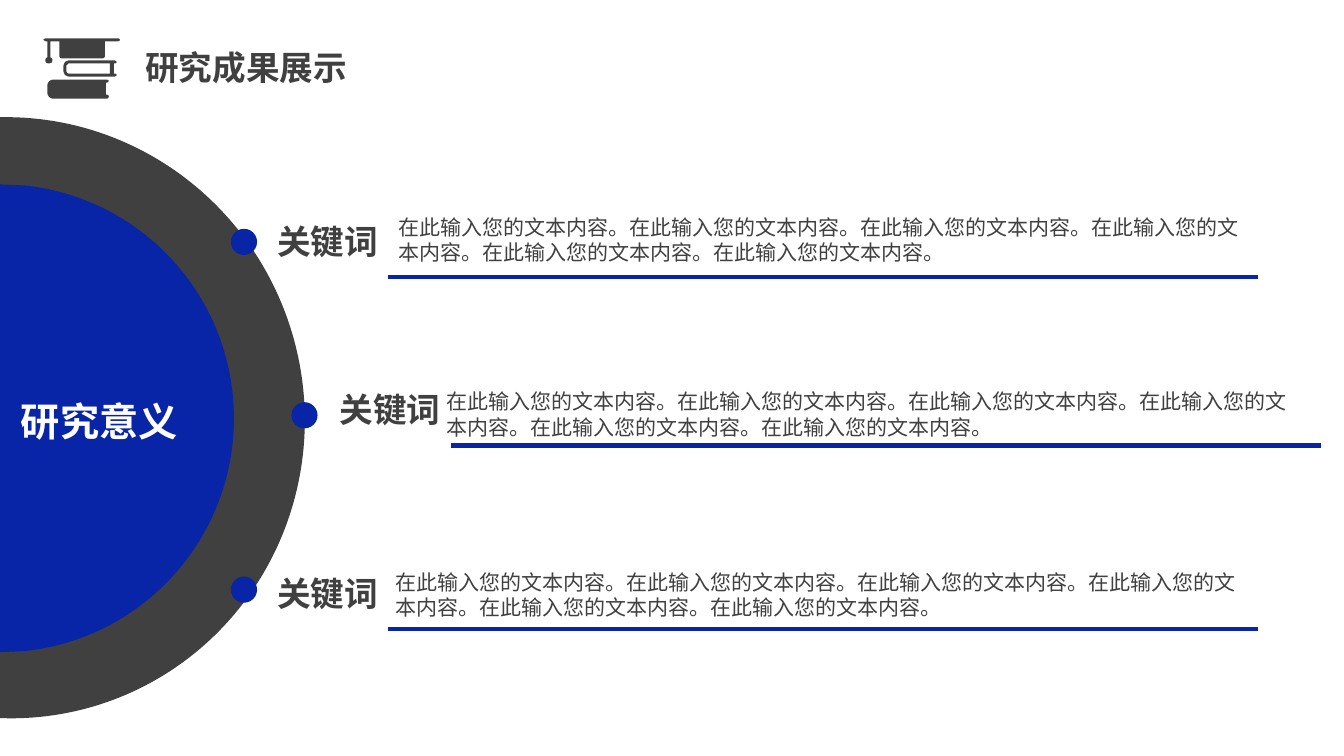
import math
from dataclasses import dataclass

import lxml.etree
import pptx
import pptx.dml.color
import pptx.enum.shapes
import pptx.enum.text
import pptx.oxml.ns
import pptx.util

PX = 9144  # EMU in one px, 100 px to the inch
ROUNDNESS = 0.55  # handle length that makes a Bezier corner circular
SENTENCE = "在此输入您的文本内容。"
qn = pptx.oxml.ns.qn
SHAPE = pptx.enum.shapes.MSO_SHAPE
ALIGN = pptx.enum.text.PP_ALIGN


@dataclass(frozen=True)
class Theme:
    font: str = "Noto Sans CJK SC"
    dark: str = "404040"
    accent: str = "0824A7"
    light: str = "FFFFFF"
    heading: int = 24
    topic: int = 28
    body: int = 15
    rule: int = 3


THEME = Theme()


@dataclass(frozen=True)
class Finding:
    """Keyword corner, then offsets from it to the dot, the body and the rule."""
    left: int
    top: int
    dot: tuple
    body: tuple
    rule: tuple


FINDINGS = (
    Finding(265, 214, dot=(-36, 13), body=(120, -6), rule=(120, 61)),
    Finding(327, 381, dot=(-38, 18), body=(106, 0), rule=(120, 61)),
    Finding(265, 563, dot=(-36, 9), body=(117, -3), rule=(120, 61)),
)


def emu(*lengths):
    return [pptx.util.Emu(round(length * PX)) for length in lengths]


def rgb(color):
    return pptx.dml.color.RGBColor.from_string(color)


def paint(shape, color):
    shape.shadow.inherit = False
    shape.fill.solid()
    shape.fill.fore_color.rgb = rgb(color)
    shape.line.fill.background()


def write(shape, text, size, color, bold=False, align=ALIGN.LEFT, spacing=1.0, insets=(10, 5)):
    frame = shape.text_frame
    side, end = emu(*insets)
    frame_format = {
        "word_wrap": True,
        "vertical_anchor": pptx.enum.text.MSO_ANCHOR.TOP,
        "auto_size": pptx.enum.text.MSO_AUTO_SIZE.NONE,
        "margin_left": side, "margin_right": side,
        "margin_top": end, "margin_bottom": end,
    }
    for name, value in frame_format.items():
        setattr(frame, name, value)
    paragraph = frame.paragraphs[0]
    paragraph.alignment = align
    paragraph.line_spacing = spacing
    run = paragraph.add_run()
    run.text = text
    run.font.color.rgb = rgb(color)
    for name, value in {"name": THEME.font, "size": pptx.util.Pt(size), "bold": bold}.items():
        setattr(run.font, name, value)
    east_asian = lxml.etree.Element(qn("a:ea"), typeface=THEME.font)
    run.font._element.find(qn("a:latin")).addnext(east_asian)


def add_text(slide, box, text, size, color, **options):
    write(slide.shapes.add_textbox(*emu(*box)), text, size, color, **options)


def add_outline(slide, left, top, contours, color):
    """Draw closed contours of steps: (end,) is straight, (handle, handle, end) is curved."""
    def place(point):
        return emu(left + point[0], top + point[1])

    builder = None
    for (start,), *steps in contours:
        if builder is None:
            builder = slide.shapes.build_freeform(*place(start), scale=1.0)
        else:
            builder.move_to(*place(start))
        builder.add_line_segments([place(step[-1]) for step in steps], close=True)
    shape = builder.convert_to_shape()
    paint(shape, color)

    all_steps = [step for _, *steps in contours for step in steps]
    for step, segment in zip(all_steps, list(shape._element.iter(qn("a:lnTo")))):
        if len(step) == 3:
            segment.tag = qn("a:cubicBezTo")
            for index, handle in enumerate(step[:2]):
                x, y = place(handle)
                point = lxml.etree.Element(
                    qn("a:pt"), x=str(x - shape.left), y=str(y - shape.top))
                segment.insert(index, point)


def toward(start, end, share):
    return tuple(a + (b - a) * share for a, b in zip(start, end))


def rounded(corners):
    """Turn (x, y, radius) corners into contour steps."""
    steps = []
    for i, (x, y, radius) in enumerate(corners):
        corner = (x, y)
        if not radius:
            steps.append((corner,))
            continue
        ends = []
        for neighbour in (corners[i - 1][:2], corners[(i + 1) % len(corners)][:2]):
            share = min(radius / math.dist(corner, neighbour), 0.5)
            ends.append(toward(corner, neighbour, share))
        entry, leave = ends
        steps.append((entry,))
        steps.append((toward(entry, corner, ROUNDNESS), toward(leave, corner, ROUNDNESS), leave))
    return steps


def book(left, top, right, bottom, corner, lip):
    """Book outline with a rounded spine and a notch between its covers."""
    notch = right - 3
    return [
        (left, top, corner), (right, top, 2), (right, top + 3, 2),
        (notch, top + 3, 0), (notch, bottom - lip, 0),
        (right, bottom - lip, 2), (right, bottom, 2), (left, bottom, corner),
    ]


def add_graduation_icon(slide, left, top):
    cap = [
        (0, 0, 2), (76, 0, 2), (76, 3, 2), (61, 3, 0), (61, 20, 2), (16, 20, 2),
        (16, 3, 0), (7, 3, 0), (7, 19, 0), (9, 20, 1), (9, 25, 3), (2, 25, 3),
        (2, 20, 1), (4, 19, 0), (4, 3, 0), (0, 3, 2),
    ]
    pages = [(23, 25, 2), (66, 25, 0), (66, 35, 0), (23, 35, 2)]
    parts = [book(4, 41, 65, 60, 6, 4), book(20, 22, 73, 38, 5, 3), pages, cap]
    add_outline(slide, left, top, [rounded(part) for part in parts], THEME.dark)


def add_header(slide, left, top):
    add_graduation_icon(slide, left, top)
    title = slide.shapes.title
    title.left, title.top, title.width, title.height = emu(left + 91, top + 4, 248, 50)
    write(title, "研究成果展示", THEME.heading, THEME.dark, bold=True)


def add_topic_dial(slide, left, top, width, height):
    ring = slide.shapes.add_shape(SHAPE.ARC, *emu(left, top, width, height))
    ring.rotation = 75
    ring.adjustments[0], ring.adjustments[1] = 115.676, 10.228
    paint(ring, THEME.dark)

    half_disc = [
        ((0, 0),), ((24, 1),),
        ((141, 13), (232, 112), (232, 232)),
        ((232, 352), (141, 451), (24, 463)),
        ((0, 464),),
    ]
    add_outline(slide, 0, top + 62, [half_disc], THEME.accent)
    add_text(slide, (left + 293, top + 262, 191, 68), "研究意义", THEME.topic, THEME.light,
             bold=True, align=ALIGN.CENTER, spacing=1.2, insets=(5, 2))


def add_finding(slide, finding):
    def place(offset):
        return finding.left + offset[0], finding.top + offset[1]

    dot = slide.shapes.add_shape(SHAPE.OVAL, *emu(*place(finding.dot), 26, 26))
    paint(dot, THEME.accent)
    add_text(slide, (finding.left, finding.top, 168, 50), "关键词",
             THEME.heading, THEME.dark, bold=True)
    add_text(slide, (*place(finding.body), 862, 86), SENTENCE * 6, THEME.body, THEME.dark)
    x, y = place(finding.rule)
    rule = slide.shapes.add_connector(
        pptx.enum.shapes.MSO_CONNECTOR.STRAIGHT, *emu(x, y, x + 863, y))
    rule.line.color.rgb = rgb(THEME.accent)
    rule.line.width = pptx.util.Pt(THEME.rule)
    lxml.etree.SubElement(rule._element.spPr, qn("a:effectLst"))


def main():
    deck = pptx.Presentation()
    deck.slide_width, deck.slide_height = emu(1333, 750)
    slide = deck.slides.add_slide(deck.slide_layouts.get_by_name("Title Only"))
    add_topic_dial(slide, -290, 121, 597, 587)
    for finding in FINDINGS:
        add_finding(slide, finding)
    add_header(slide, 43, 38)
    deck.save("out.pptx")


if __name__ == "__main__":
    main()
